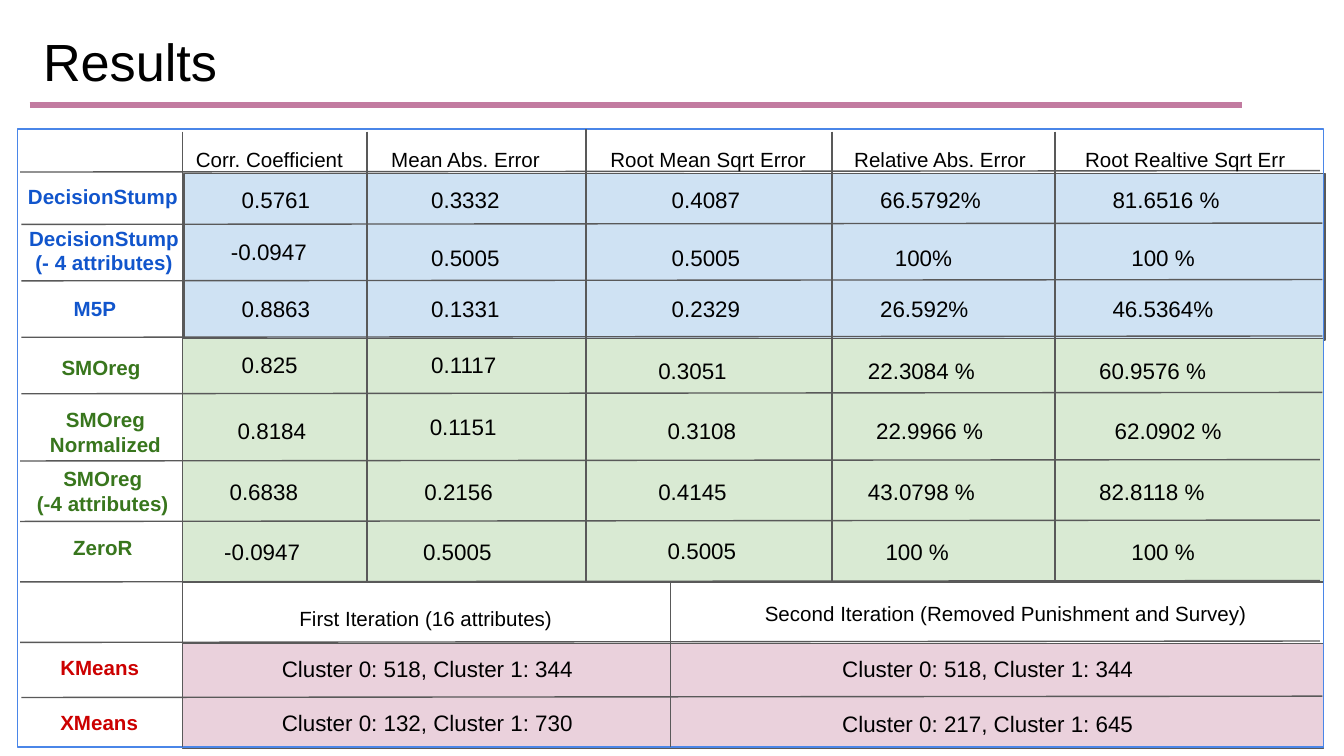
from dataclasses import dataclass

from lxml.etree import SubElement
from pptx import Presentation
from pptx.dml.color import RGBColor
from pptx.enum.shapes import MSO_CONNECTOR, MSO_SHAPE
from pptx.enum.text import MSO_ANCHOR, MSO_AUTO_SIZE, PP_ALIGN
from pptx.oxml.ns import qn
from pptx.util import Emu, Pt

PX = 9144  # EMU per px, 100 px to the inch


@dataclass(frozen=True)
class Theme:
    font: str = "Arial"
    ink: str = "000000"
    grid: str = "595959"
    frame: str = "4A86E8"
    accent: str = "C27BA0"
    blue: str = "1155CC"
    green: str = "38761D"
    red: str = "CC0000"
    blue_band: str = "CFE2F3"
    green_band: str = "D9EAD3"
    pink_band: str = "EAD1DC"
    title_size: int = 28
    label_size: int = 11
    value_size: int = 12
    thin: float = 0.75
    thick: float = 3


THEME = Theme()

# Grid: (y, left, right) of each row rule, (x, top, bottom) of each column rule
ROW_RULES = [(y, 16, 984) for y in (167, 209, 251, 293, 519)]
ROW_RULES += [(y, 15, 982) for y in (128, 343, 388, 433, 478)]
COLUMN_RULES = [(136, 98, 556), (273, 98, 432), (436, 96, 433),
                (619, 98, 433), (785, 98, 432), (499, 433, 556)]

# Column headings: text, left, top, width
HEADINGS = [
    ("Corr. Coefficient", 121, 99, 159),
    ("Mean Abs. Error", 280, 99, 133),
    ("Root Mean Sqrt Error", 430, 99, 194),
    ("Relative Abs. Error", 617, 99, 165),
    ("Root Realtive Sqrt Err", 782, 99, 200),
    ("First Iteration (16 attributes)", 190, 441, 254),
    ("Second Iteration (Removed Punishment and Survey)", 550, 437, 397),
]

# Row labels: text, left, top, width, height, colour
LABELS = [
    ("DecisionStump", 11, 127, 133, 69, THEME.blue),
    ("DecisionStump\n(- 4 attributes)", 11, 158, 133, 50, THEME.blue),
    ("M5P", 45, 210, 52, 69, THEME.blue),
    ("SMOreg", 36, 254, 93, 69, THEME.green),
    ("SMOreg\nNormalized", 21, 293, 115, 69, THEME.green),
    ("SMOreg\n(-4 attributes)", 10, 337, 133, 69, THEME.green),
    ("ZeroR", 19, 388, 115, 41, THEME.green),
    ("KMeans", 35, 477, 82, 69, THEME.red),
    ("XMeans", 35, 518, 82, 69, THEME.red),
]
CENTERED_SINGLE_LABELS = {"ZeroR"}

# Scores: one (values, lefts, tops) per classifier
VALUE_WIDTHS = (92, 76, 76, 105, 133)
SCORES = [
    (("0.5761", "0.3332", "0.4087", "66.5792%", "81.6516 %"),
     (170, 311, 490, 645, 818), (134,) * 5),
    (("-0.0947", "0.5005", "0.5005", "100%", "100 %"),
     (162, 311, 490, 656, 832), (173,) + (177,) * 4),
    (("0.8863", "0.1331", "0.2329", "26.592%", "46.5364%"),
     (170, 311, 490, 645, 818), (215,) * 5),
    (("0.825", "0.1117", "0.3051", "22.3084 %", "60.9576 %"),
     (170, 311, 480, 636, 808), (257,) * 2 + (261,) * 3),
    (("0.8184", "0.1151", "0.3108", "22.9966 %", " 62.0902 %"),
     (167, 310, 487, 642, 815), (306, 303) + (306,) * 3),
    (("0.6838", "0.2156", "0.4145", "43.0798 %", "82.8118 %"),
     (161, 306, 480, 636, 808), (351,) * 5),
    (("-0.0947", "0.5005", "0.5005", "100 %", "100 %"),
     (157, 305, 487, 649, 832), (396, 396, 395, 396, 396)),
]

# Cluster sizes: text, left, top
CLUSTERS = [
    ("Cluster 0: 518, Cluster 1: 344", 154, 477),
    ("Cluster 0: 132, Cluster 1: 730", 154, 517),
    ("Cluster 0: 518, Cluster 1: 344", 571, 477),
    ("Cluster 0: 217, Cluster 1: 645", 571, 518),
]


def px(*lengths):
    return [Emu(length * PX) for length in lengths]


def rgb(code):
    return RGBColor.from_string(code)


def set_text(frame, text, size, color, bold=False, align=PP_ALIGN.LEFT,
             anchor=MSO_ANCHOR.TOP):
    frame.text = text
    frame.word_wrap = True
    frame.auto_size = MSO_AUTO_SIZE.NONE
    frame.vertical_anchor = anchor
    (frame.margin_left, frame.margin_top,
     frame.margin_right, frame.margin_bottom) = px(10, 10, 10, 10)
    for paragraph in frame.paragraphs:
        paragraph.alignment = align
        for run in paragraph.runs:
            run.font.name = THEME.font
            run.font.size = Pt(size)
            run.font.bold = bold
            run.font.color.rgb = rgb(color)


def add_title(slide, text):
    title = slide.shapes.title
    title.left, title.top, title.width, title.height = px(22, 12, 932, 63)
    set_text(title.text_frame, text, THEME.title_size, THEME.ink)


def add_text(slide, text, left, top, width, height, size, **style):
    box = slide.shapes.add_textbox(*px(left, top, width, height))
    set_text(box.text_frame, text, size, **style)


def add_panel(slide, left, top, width, height, outline, fill=None):
    panel = slide.shapes.add_shape(MSO_SHAPE.RECTANGLE,
                                   *px(left, top, width, height))
    panel.shadow.inherit = False
    if fill:
        panel.fill.solid()
        panel.fill.fore_color.rgb = rgb(fill)
    else:
        panel.fill.background()
    panel.line.color.rgb = rgb(outline)
    panel.line.width = Pt(THEME.thin)


def add_rule(slide, x1, y1, x2, y2, color=THEME.grid, weight=THEME.thin):
    rule = slide.shapes.add_connector(MSO_CONNECTOR.STRAIGHT,
                                      *px(x1, y1, x2, y2))
    rule.line.color.rgb = rgb(color)
    rule.line.width = Pt(weight)
    SubElement(rule._element.spPr, qn("a:effectLst"))


def main():
    # Widescreen 16:9 page, 1000 px wide
    deck = Presentation()
    deck.slide_width, = px(1000)
    deck.slide_height = Emu(deck.slide_width * 9 // 16)
    slide = deck.slides.add_slide(deck.slide_layouts[5])

    # Coloured bands, title and frame
    add_panel(slide, 136, 479, 849, 78, THEME.grid, THEME.pink_band)
    add_panel(slide, 137, 129, 849, 124, THEME.grid, THEME.blue_band)
    add_panel(slide, 136, 252, 849, 181, THEME.grid, THEME.green_band)
    add_title(slide, "Results")
    add_rule(slide, 22, 78, 924, 78, THEME.accent, THEME.thick)
    add_panel(slide, 13, 96, 972, 460, THEME.frame)

    # Grid rules; row rules rise slightly to the right
    for y, left, right in ROW_RULES:
        add_rule(slide, left, y, right, y - 1)
    for x, top, bottom in COLUMN_RULES:
        add_rule(slide, x, top, x, bottom)

    # Headings and row labels
    for text, left, top, width in HEADINGS:
        add_text(slide, text, left, top, width, 69, THEME.label_size,
                 color=THEME.ink, align=PP_ALIGN.CENTER)
    for text, left, top, width, height, color in LABELS:
        centered = "\n" in text or text in CENTERED_SINGLE_LABELS
        add_text(slide, text, left, top, width, height, THEME.label_size,
                 color=color, bold=True,
                 align=PP_ALIGN.CENTER if centered else PP_ALIGN.LEFT)

    # Scores and cluster sizes
    for values, lefts, tops in SCORES:
        for value, left, top, width in zip(values, lefts, tops, VALUE_WIDTHS):
            add_text(slide, value, left, top, width, 29, THEME.value_size,
                     color=THEME.ink, anchor=MSO_ANCHOR.MIDDLE)
    for text, left, top in CLUSTERS:
        add_text(slide, text, left, top, 328, 41, THEME.value_size,
                 color=THEME.ink, align=PP_ALIGN.CENTER,
                 anchor=MSO_ANCHOR.MIDDLE)

    deck.save("out.pptx")


if __name__ == "__main__":
    main()
